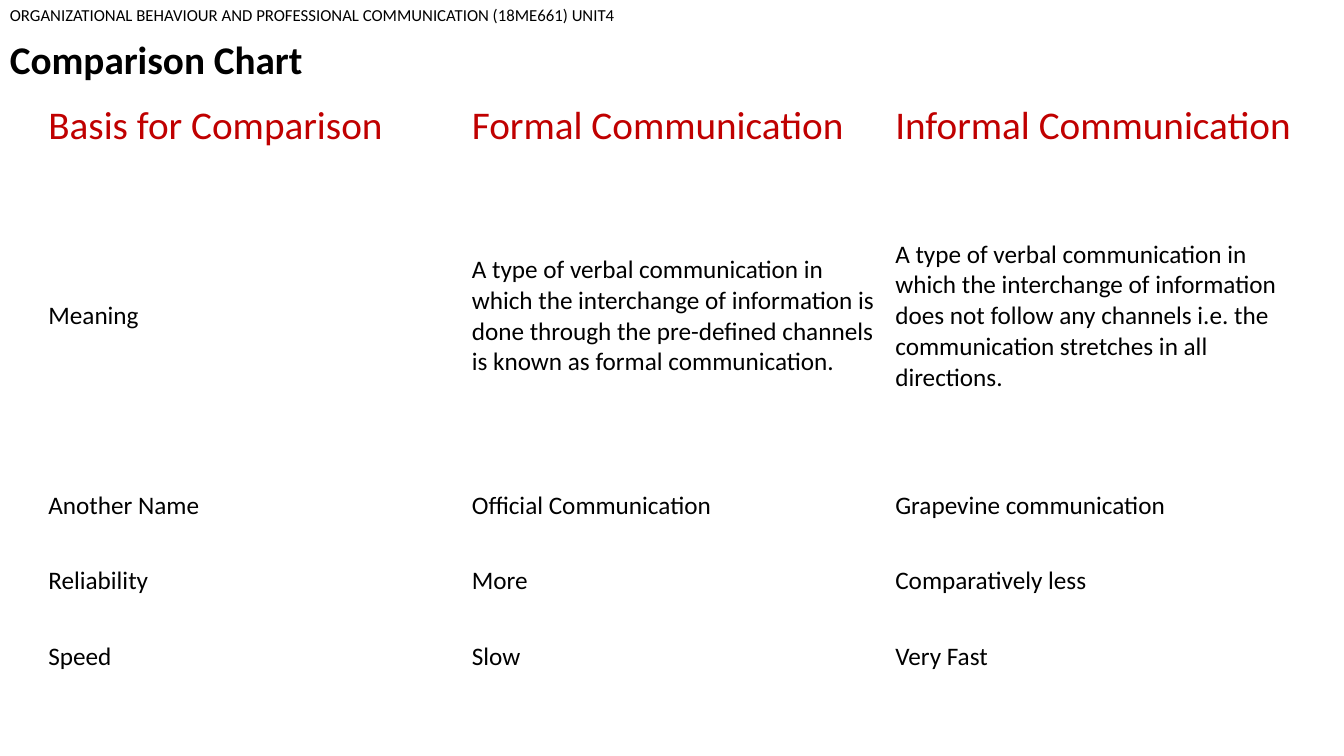
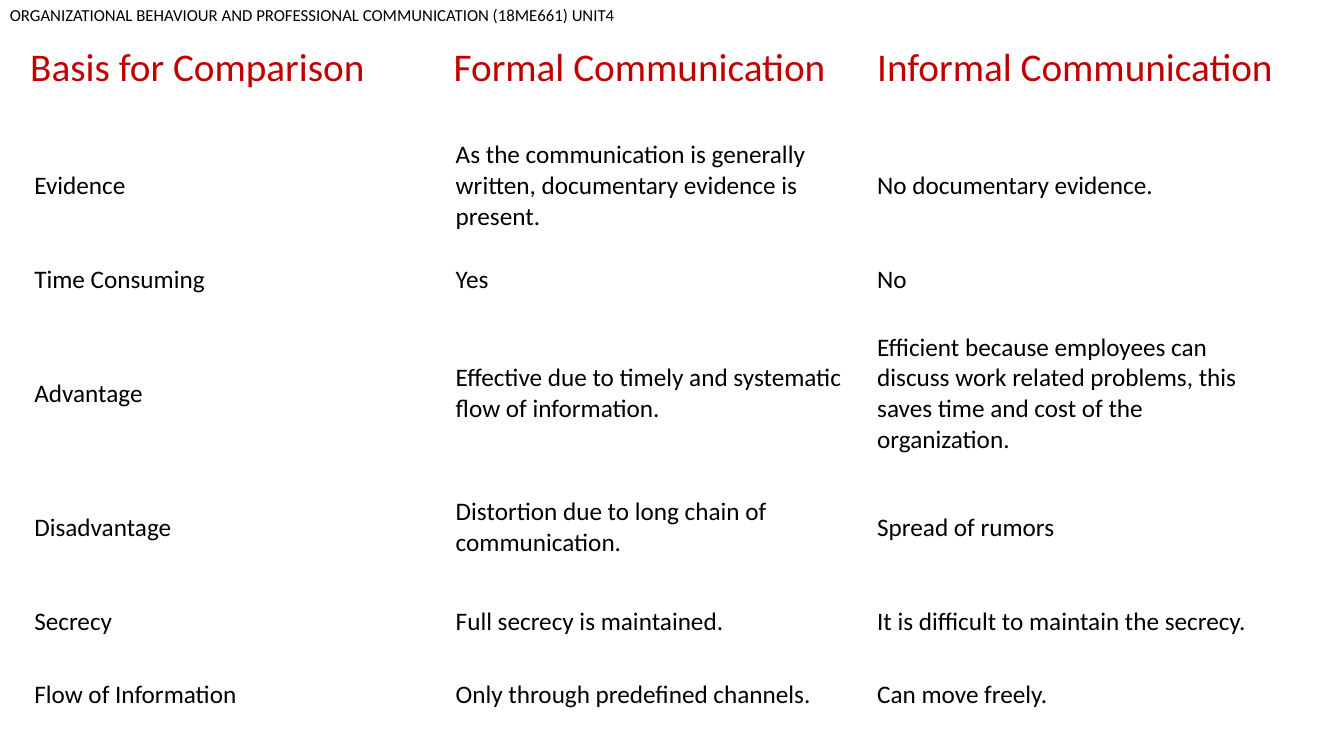
from pptx import Presentation
from pptx.dml.color import RGBColor
from pptx.enum.text import MSO_ANCHOR, MSO_AUTO_SIZE
from pptx.oxml.ns import qn
from pptx.util import Inches, Pt

BLACK = "000000"
COURSE = "ORGANIZATIONAL BEHAVIOUR AND PROFESSIONAL COMMUNICATION (18ME661) UNIT4"
NO_GRID_STYLE = "{2D5ABB26-0587-4C30-8999-92F81FD0307C}"
FORMATS = {
    "course": {"size": Pt(12), "bold": False, "color": BLACK},
    "title": {"size": Pt(28), "bold": True, "color": BLACK},
    "heading": {"size": Pt(28), "bold": False, "color": "C00000"},
    "body": {"size": Pt(18), "bold": False, "color": BLACK},
}
HEADINGS = ("Basis for Comparison", "Formal Communication", "Informal Communication")
BASICS = [
    ("Meaning",
     "A type of verbal communication in which the interchange of information is "
     "done through the pre-defined channels is known as formal communication.",
     "A type of verbal communication in which the interchange of information does "
     "not follow any channels i.e. the communication stretches in all directions."),
    ("Another Name", "Official Communication", "Grapevine communication"),
    ("Reliability", "More", "Comparatively less"),
    ("Speed", "Slow", "Very Fast"),
]
DETAILS = [
    ("Evidence",
     "As the communication is generally written, documentary evidence is present.",
     "No documentary evidence."),
    ("Time Consuming", "Yes", "No"),
    ("Advantage",
     "Effective due to timely and systematic flow of information.",
     "Efficient because employees can discuss work related problems, this saves "
     "time and cost of the organization."),
    ("Disadvantage", "Distortion due to long chain of communication.", "Spread of rumors"),
    ("Secrecy", "Full secrecy is maintained.", "It is difficult to maintain the secrecy."),
    ("Flow of Information", "Only through predefined channels.", "Can move freely."),
]


def paint(color_format, hex_color):
    color_format.rgb = RGBColor.from_string(hex_color)


def write(text_frame, words, style):
    run = text_frame.paragraphs[0].add_run()
    run.text = words
    run.font.name = "Calibri"
    for attribute, value in FORMATS[style].items():
        if attribute == "color":
            paint(run.font.color, value)
        else:
            setattr(run.font, attribute, value)


def add_label(slide, box, words, style, wrap):
    label = slide.shapes.add_textbox(*map(Inches, box)).text_frame
    label.word_wrap = wrap
    label.auto_size = MSO_AUTO_SIZE.SHAPE_TO_FIT_TEXT
    write(label, words, style)


def add_comparison(slide, left, top, column_width, heights, rows):
    columns = len(HEADINGS)
    box = (left, top, column_width * columns, sum(heights))
    table = slide.shapes.add_table(len(rows), columns, *map(Inches, box)).table
    table.first_row = table.horz_banding = False
    table._tbl.tblPr.find(qn("a:tableStyleId")).text = NO_GRID_STYLE
    for column in table.columns:
        column.width = Inches(column_width)
    for row, height, entries in zip(table.rows, heights, rows):
        row.height = Inches(height)
        style = "heading" if entries is HEADINGS else "body"
        for cell, words in zip(row.cells, entries):
            cell.fill.background()
            cell.vertical_anchor = MSO_ANCHOR.MIDDLE
            write(cell.text_frame, words, style)


def add_course_slide(deck):
    slide = deck.slides.add_slide(deck.slide_layouts[6])
    add_label(slide, (0, 0, 6.67, 0.3), COURSE, "course", True)
    return slide


def build_basics(deck):
    slide = add_course_slide(deck)
    add_label(slide, (0, 0.3, 3.14, 0.57), "Comparison Chart", "title", False)
    heights = [0.75, 3.01, 0.75, 0.75, 0.75]
    add_comparison(slide, 0.38, 0.88, 4.2, heights, [HEADINGS, *BASICS])


def build_details(deck):
    slide = add_course_slide(deck)
    heights = [1.33, 0.53, 1.73, 0.93, 0.93, 0.53]
    add_comparison(slide, 0.24, 1.18, 4.18, heights, DETAILS)
    add_comparison(slide, 0.2, 0.3, 4.2, [0.75], [HEADINGS])


def main():
    deck = Presentation()
    deck.slide_width, deck.slide_height = Inches(13.33), Inches(7.5)
    build_basics(deck)
    build_details(deck)
    deck.save("out.pptx")


if __name__ == "__main__":
    main()
